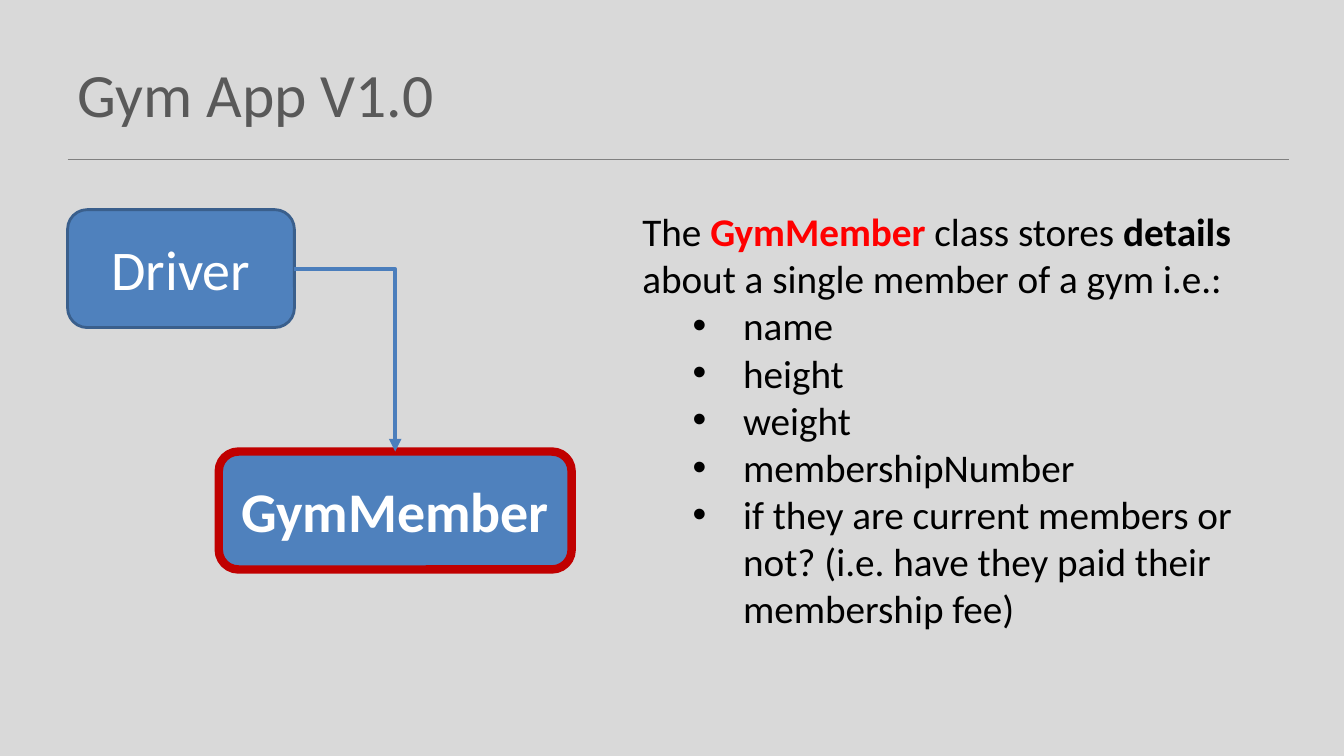
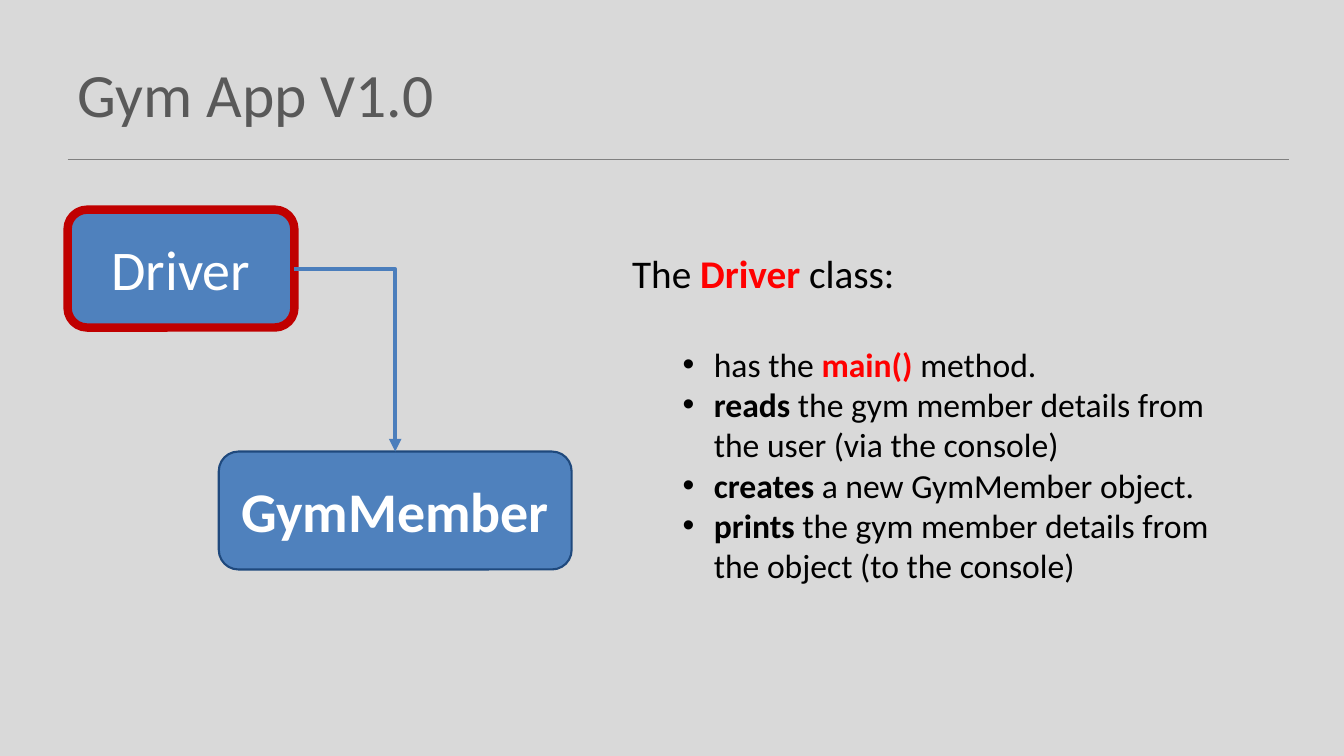
from lxml import etree
from pptx import Presentation
from pptx.dml.color import RGBColor
from pptx.enum.shapes import MSO_CONNECTOR as CONN, MSO_SHAPE as SHAPE
from pptx.enum.text import MSO_ANCHOR as ANCHOR, MSO_AUTO_SIZE as AUTO, PP_ALIGN as ALIGN
from pptx.oxml.ns import qn
from pptx.util import Inches, Pt

BLACK, RED, WHITE = "000000", "FF0000", "FFFFFF"
GRAY, RULE, PAGE = "595959", "808080", "D9D9D9"
BLUE, ARROW, HIGHLIGHT = "4F81BD", "4B7EBC", "C00000"

PLAIN = dict(color=BLACK, bold=False)
STRONG = dict(color=BLACK, bold=True)
KEY = dict(color=RED, bold=True)


def rgb(color):
    return RGBColor.from_string(color)


def add_xml(parent, tag, **attrs):
    return etree.SubElement(parent, qn(tag), attrs)


class Deck:
    """Holds the shared style and the slide being built."""

    font = "Calibri"

    def __init__(self):
        self.prs = Presentation()
        self.prs.slide_width, self.prs.slide_height = Inches(13.33), Inches(7.5)
        fill = self.prs.slide_master.background.fill
        fill.solid()
        fill.fore_color.rgb = rgb(PAGE)

    def new_slide(self, title):
        self.s = self.prs.slides.add_slide(self.prs.slide_layouts[1])
        self.line((0.67, 1.58), (12.78, 1.58), RULE, 1)
        tf = self.place(self.s.shapes.title, (0.67, 0.3, 12, 1.25), ANCHOR.MIDDLE)
        p = tf.paragraphs[0]
        p.alignment = ALIGN.LEFT
        self.run(p, title, size=44, color=GRAY)

    def place(self, sp, box, anchor):
        """Moves a placeholder and returns its text frame."""
        for name, value in zip(("left", "top", "width", "height"), box):
            setattr(sp, name, Inches(value))
        tf = sp.text_frame
        frame = dict(word_wrap=True, auto_size=AUTO.NONE, vertical_anchor=anchor)
        for name, value in frame.items():
            setattr(tf, name, value)
        return tf

    def run(self, p, text, size, color, bold=False):
        r = p.add_run()
        r.text = text
        for name, value in dict(name=self.font, size=Pt(size), bold=bold).items():
            setattr(r.font, name, value)
        r.font.color.rgb = rgb(color)

    def line(self, start, end, color, width, kind=CONN.STRAIGHT):
        sp = self.s.shapes.add_connector(kind, *map(Inches, start + end))
        sp.line.color.rgb = rgb(color)
        sp.line.width = Pt(width)
        add_xml(sp._element.spPr, "a:effectLst")
        return sp

    def corner_arrow(self, start, end):
        """Runs right, then down to an arrowhead."""
        sp = self.line(start, end, ARROW, 3, CONN.ELBOW)
        sp._element.spPr.find(qn("a:prstGeom")).set("prst", "bentConnector2")
        add_xml(sp.line._get_or_add_ln(), "a:tailEnd", type="triangle")

    def class_box(self, name, box, line, width, bold=False):
        sp = self.s.shapes.add_shape(SHAPE.ROUNDED_RECTANGLE, *map(Inches, box))
        sp.shadow.inherit = False
        sp.fill.solid()
        sp.fill.fore_color.rgb = rgb(BLUE)
        sp.line.color.rgb = rgb(line)
        sp.line.width = Pt(width)
        tf = sp.text_frame
        tf.vertical_anchor = ANCHOR.MIDDLE
        p = tf.paragraphs[0]
        p.alignment = ALIGN.CENTER
        self.run(p, name, size=40, color=WHITE, bold=bold)

    def class_diagram(self, driver_line, member_line):
        self.class_box("Driver", (0.67, 2.08, 2.25, 1.17), *driver_line)
        self.class_box("GymMember", (2.17, 4.48, 3.5, 1.17), *member_line, bold=True)
        self.corner_arrow((2.92, 2.67), (3.92, 4.48))

    def description(self, box, intro, items, size, margin, hanging, gap=0):
        """Writes an intro line and bullets; gap is the space between them in points."""
        tf = self.place(self.s.placeholders[1], box, ANCHOR.TOP)
        for i, segments in enumerate([intro] + items):
            p = tf.paragraphs[0] if i == 0 else tf.add_paragraph()
            p.space_before = Pt(gap if i == 1 else 0)
            p.level = min(i, 1)
            pPr = p._p.get_or_add_pPr()
            left, indent = (margin, -hanging) if i else (0, 0)
            pPr.set("marL", str(Inches(left)))
            pPr.set("indent", str(Inches(indent)))
            if i:
                add_xml(pPr, "a:buFont", typeface="Arial")
                add_xml(pPr, "a:buChar", char="•")
            else:
                add_xml(pPr, "a:buNone")
            for text, style in segments:
                self.run(p, text, size=size if i else 28, **style)


def main():
    deck = Deck()
    selected = (HIGHLIGHT, 6)

    deck.new_slide("Gym App V1.0")
    deck.class_diagram(driver_line=("3A5F8C", 2), member_line=selected)
    fields = ["name", "height", "weight", "membershipNumber",
              "if they are current members or not? (i.e. have they paid their membership fee)"]
    deck.description(
        (6.27, 2.01, 6.23, 4.34),
        [("The ", PLAIN), ("GymMember", KEY), (" class stores ", PLAIN),
         ("details", STRONG), (" about a single member of a gym i.e.:", PLAIN)],
        [[(field, PLAIN)] for field in fields],
        size=28, margin=1, hanging=0.5)

    deck.new_slide("Gym App V1.0")
    deck.class_diagram(driver_line=selected, member_line=("1F497D", 1.5))
    actions = [("reads", " the gym member details from the user (via the console)"),
               ("creates", " a new GymMember object."),
               ("prints", " the gym member details from the object (to the console)")]
    deck.description(
        (6.17, 2.42, 6.4, 3.47),
        [("The ", PLAIN), ("Driver", KEY), (" class:", PLAIN)],
        [[("has the ", PLAIN), ("main() ", KEY), ("method.", PLAIN)]]
        + [[(verb, STRONG), (rest, PLAIN)] for verb, rest in actions],
        size=24, margin=0.81, hanging=0.31, gap=34)

    deck.prs.save("out.pptx")


if __name__ == "__main__":
    main()
